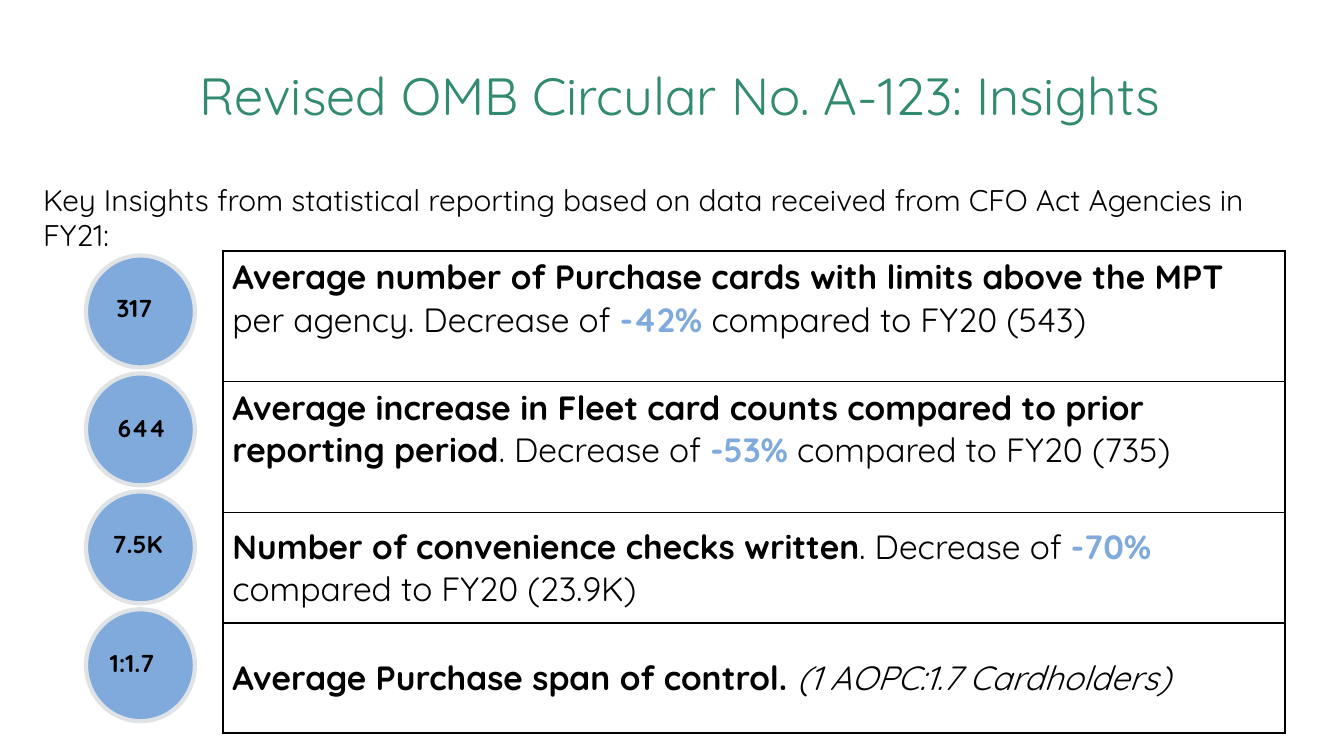
"""Builds the slide of card insights: four figures beside a bordered table."""
import pptx
import pptx.dml.color
import pptx.enum.shapes
import pptx.enum.text
import pptx.oxml
import pptx.util
from lxml import etree

deck = pptx.Presentation()
deck.slide_width = pptx.util.Inches(10)
deck.slide_height = pptx.util.Inches(5.625)
col, row = deck.slide_width / 10, deck.slide_height / 10
Pt = pptx.util.Pt
anchor = pptx.enum.text.MSO_ANCHOR
font, blue, black = "Quicksand", "80AADC", "000000"


def rgb(code):
    return pptx.dml.color.RGBColor.from_string(code)


def style(face, size, code=black, bold=False):
    face.name, face.size, face.bold = font, Pt(size), bold
    face.color.rgb = rgb(code)


slide = deck.slides.add_slide(deck.slide_layouts[1])
title, body = slide.placeholders
heads = [
    (title, (0.56, 0.66, 9, 1.67), 28, "328B71", 0.1,
     "Revised OMB Circular No. A-123: Insights"),
    (body, (0.22, 2.31, 9.67, 1.87), 16, black, 0.05,
     "Key Insights from statistical reporting based on data received "
     "from CFO Act Agencies in FY21:"),
]
for shape, (x, y, w, h), size, code, inset, text in heads:
    shape.left, shape.top = int(x * col), int(y * row)
    shape.width, shape.height = int(w * col), int(h * row)
    frame = shape.text_frame
    frame.text = text
    frame.auto_size = pptx.enum.text.MSO_AUTO_SIZE.NONE
    frame.vertical_anchor = anchor.TOP
    frame.margin_top = frame.margin_bottom = pptx.util.Inches(inset)
    para = frame.paragraphs[0]
    para.space_before = Pt(0)
    style(para.font, size, code)
title.text_frame.paragraphs[0].alignment = pptx.enum.text.PP_ALIGN.CENTER
props = body.text_frame.paragraphs[0]._p.get_or_add_pPr()
props.set("marL", "0")
props.set("indent", "0")
props.insert_element_before(pptx.oxml.parse_xml(
    '<a:buNone xmlns:a="http://schemas.openxmlformats.org/drawingml/2006/main"/>'),
    "a:tabLst", "a:defRPr", "a:extLst")

marks = [("317", 0.77, 0.41, 0.72, 0.69), ("644", 0.78, 0.44, 0.63, 0.69),
         ("7.5K", 0.74, 0.41, 0.63, 1.17), ("1:1.7", 0.72, 0.43, 0.76, 0.69)]
for i, (text, x, drop, w, h) in enumerate(marks):
    top = 3.38 + 1.56 * i
    group = slide.shapes.add_group_shape()
    disc = group.shapes.add_shape(
        pptx.enum.shapes.MSO_SHAPE.OVAL,
        int(0.64 * col), int(top * row), int(0.81 * col), int(1.48 * row))
    disc.shadow.inherit = False
    disc.fill.solid()
    disc.fill.fore_color.rgb = rgb(blue)
    disc.line.color.rgb = rgb("DFE3E5")
    disc.line.width = Pt(2.25)
    label = group.shapes.add_textbox(
        int(x * col), int((top + drop) * row), int(w * col), int(h * row))
    label.text_frame.word_wrap = True
    label.text_frame.text = text
    style(label.text_frame.paragraphs[0].font, 13.1, bold=True)

facts = [
    (1.73, anchor.TOP, [
        ("Average number of Purchase cards with limits above the MPT ", "b"),
        ("per agency. Decrease of ", ""), ("-42%", "bc"),
        (" compared to FY20 (543)", "")]),
    (1.73, anchor.TOP, [
        ("Average increase in Fleet card counts compared to prior "
         "reporting period", "b"),
        (". Decrease of ", ""), ("-53%", "bc"),
        (" compared to FY20 (735)", "")]),
    (1.46, anchor.MIDDLE, [
        ("Number of convenience checks written", "b"),
        (". Decrease of ", ""), ("-70%", "bc"),
        (" compared to FY20 (23.9K)", "")]),
    (1.46, anchor.MIDDLE, [
        ("Average Purchase span of control. ", "b"),
        ("(1 AOPC:1.7 Cardholders)", "i")]),
]
high = sum(fact[0] for fact in facts)
table = slide.shapes.add_table(
    len(facts), 1, int(1.66 * col), int(3.32 * row),
    int(7.9 * col), int(high * row)).table
table.first_row = table.horz_banding = False
for i, (h, place, runs) in enumerate(facts):
    table.rows[i].height = int(h * row)
    cell = table.cell(i, 0)
    cell.vertical_anchor = place
    cell.margin_left = cell.margin_right = pptx.util.Inches(0.07)
    cell.margin_top = cell.margin_bottom = pptx.util.Inches(0.04)
    cell.fill.solid()
    cell.fill.fore_color.rgb = rgb("FFFFFF")
    para = cell.text_frame.paragraphs[0]
    for text, flags in runs:
        run = para.add_run()
        run.text = text
        style(run.font, 18, blue if "c" in flags else black, "b" in flags)
        run.font.italic = "i" in flags
    edges = cell._tc.get_or_add_tcPr()
    for n, side in enumerate("LRTB"):
        edge = etree.Element(pptx.oxml.ns.qn("a:ln" + side), w=str(Pt(1)))
        fill = etree.SubElement(edge, pptx.oxml.ns.qn("a:solidFill"))
        etree.SubElement(fill, pptx.oxml.ns.qn("a:srgbClr"), val=black)
        edges.insert(n, edge)

deck.save("out.pptx")
